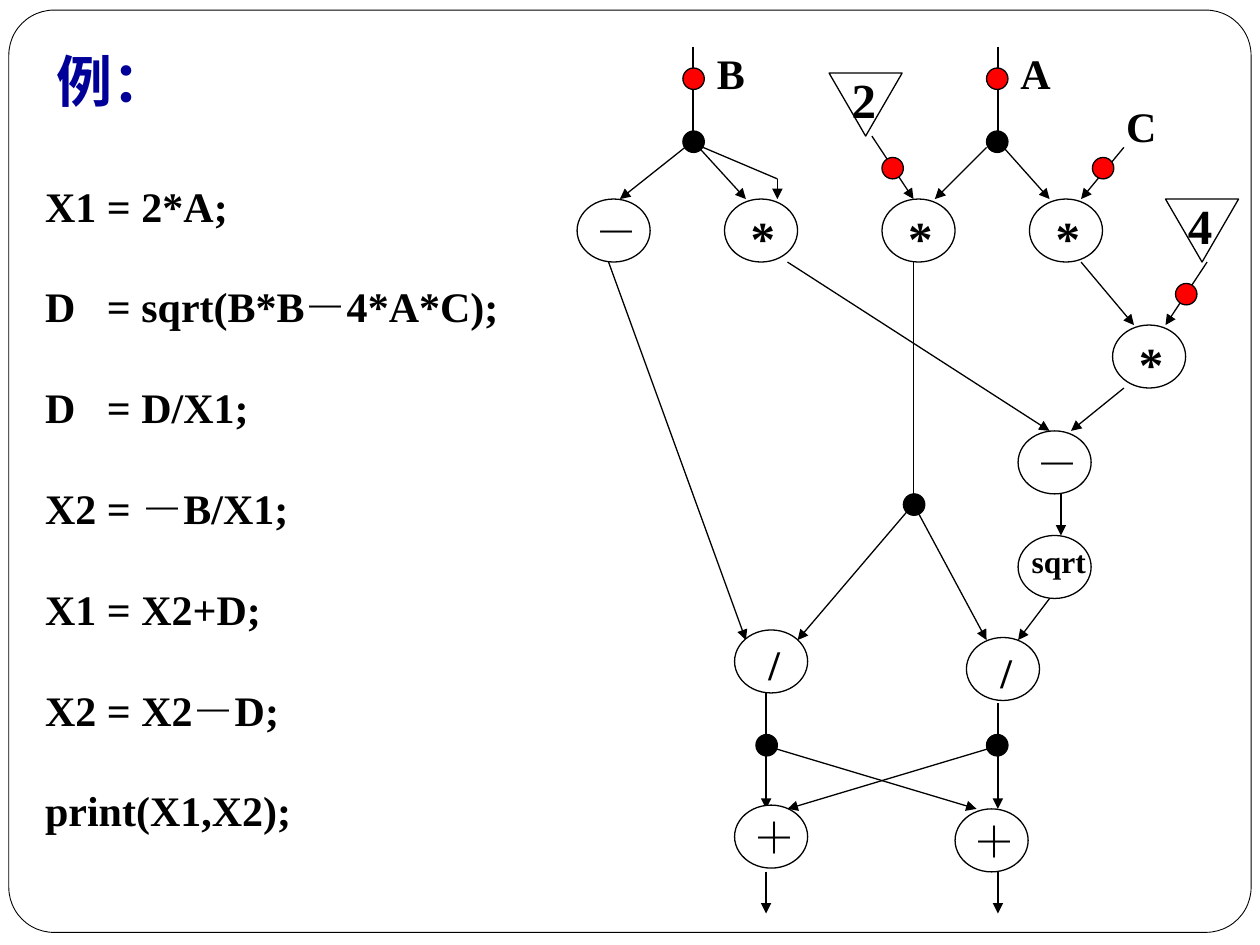
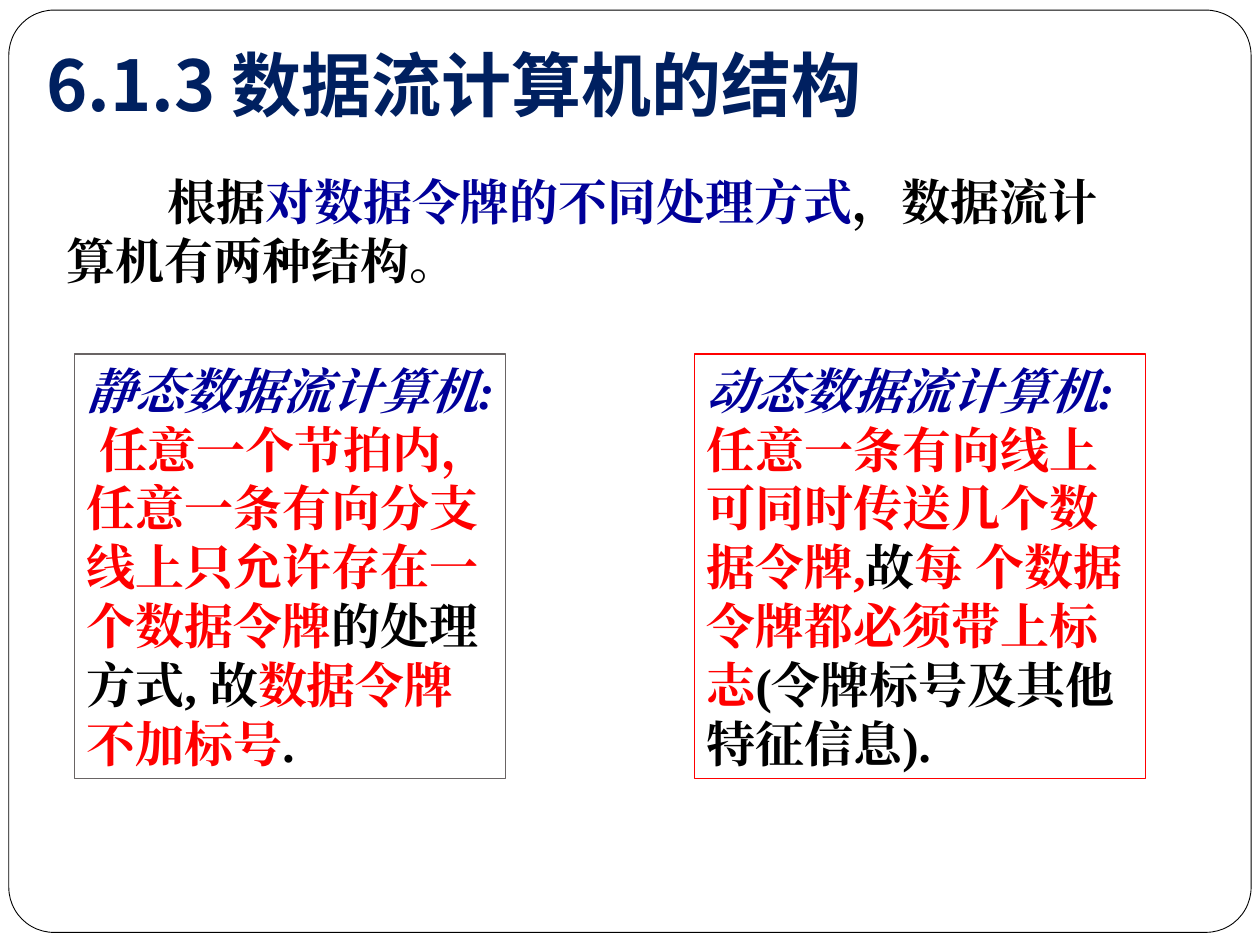
from pptx import Presentation
from pptx.dml.color import RGBColor
from pptx.enum.shapes import MSO_CONNECTOR as LINK, MSO_SHAPE as SHAPE
from pptx.enum.text import MSO_ANCHOR as ANCHOR, MSO_AUTO_SIZE as FIT, PP_ALIGN as ALIGN
from pptx.oxml.ns import qn
from pptx.util import Inches, Pt
from lxml.etree import SubElement

BLACK, WHITE, RED = "000000", "FFFFFF", "FF0000"
BLUE, NAVY, GREY = "000099", "002060", "696464"
SERIF, SANS = "Times New Roman", "Noto Sans CJK SC"


def write(box, lines, size, font=SERIF, wrap=False, gap=0):
    frame = box.text_frame
    settings = {
        "word_wrap": wrap,
        "auto_size": FIT.NONE,
        "vertical_anchor": ANCHOR.TOP,
        "margin_left": Inches(0.1),
        "margin_right": Inches(0.1),
        "margin_top": Inches(0.05),
        "margin_bottom": Inches(0.05),
    }
    for name, value in settings.items():
        setattr(frame, name, value)
    for number, spans in enumerate(lines):
        para = frame.add_paragraph() if number else frame.paragraphs[0]
        para.alignment = ALIGN.LEFT
        para.space_before = Pt(gap if number else 0)
        for text, color, italic in spans:
            span = para.add_run()
            span.text = text
            style = {"name": font, "size": Pt(size), "bold": True, "italic": italic}
            for name, value in style.items():
                setattr(span.font, name, value)
            span.font.color.rgb = RGBColor.from_string(color)
            SubElement(span.font._element, qn("a:ea"), typeface=font)


def draw(page, preset, place, fill, line=BLACK, width=0.75):
    shape = page.shapes.add_shape(preset, *map(Inches, place))
    shape.shadow.inherit = False
    if fill:
        shape.fill.solid()
        shape.fill.fore_color.rgb = RGBColor.from_string(fill)
    else:
        shape.fill.background()
    shape.line.color.rgb = RGBColor.from_string(line)
    shape.line.width = Pt(width)
    return shape


deck = Presentation()
deck.slide_width, deck.slide_height = Inches(10), Inches(7.5)

titles = [
    ("例：", (0.35, 0.32, 2.28, 0.83), 32, BLUE),
    ("6.1.3 数据流计算机的结构", (0.27, 0.28, 7.33, 0.62), 40, NAVY),
]
pages = []
for text, place, size, color in titles:
    page = deck.slides.add_slide(deck.slide_layouts[5])
    border = draw(page, SHAPE.ROUNDED_RECTANGLE, (0.07, 0.08, 9.86, 7.32), WHITE, width=0.5)
    border.adjustments[0] = 0.049
    title = page.shapes.title
    title.left, title.top, title.width, title.height = map(Inches, place)
    write(title, [[(text, color, False)]], size, SANS, True)
    page.shapes._spTree.append(title._element)
    pages.append(page)
graph_page, structure_page = pages

program = [
    "X1 = 2*A;",
    "D   = sqrt(B*B－4*A*C);",
    "D   = D/X1;",
    "X2 = －B/X1;",
    "X1 = X2+D;",
    "X2 = X2－D;",
    "print(X1,X2);",
]
box = graph_page.shapes.add_textbox(*map(Inches, (0.26, 1.38, 3.95, 5.3)))
write(box, [[(line, BLACK, False)] for line in program], 24, gap=28.8)

plain_lines = [
    (5.5, 0.37, 5.5, 1.12), (7.92, 0.37, 7.92, 1.12),
    (5.58, 1.17, 6.17, 1.42), (7.25, 2.08, 7.25, 3.92),
    (6.08, 5.5, 6.08, 5.92), (7.92, 5.58, 7.92, 5.92),
]
arrows = [
    (5.5, 1.12, 4.92, 1.58), (5.5, 1.12, 5.92, 1.58), (6.17, 1.42, 6.17, 1.58),
    (6.92, 1.08, 7.25, 1.58), (7.83, 1.17, 7.42, 1.58), (7.92, 1.12, 8.33, 1.58),
    (8.92, 1.17, 8.58, 1.58), (9.58, 2.08, 9.25, 2.58), (8.58, 2.08, 9, 2.58),
    (7.25, 4, 6.33, 5.08), (4.83, 2.08, 5.92, 5.08), (6.25, 2.08, 8.33, 3.42),
    (8.92, 3.08, 8.5, 3.42), (8.42, 3.92, 8.42, 4.25), (7.25, 4, 7.83, 5.08),
    (8.33, 4.75, 8.08, 5.08), (6.08, 5.92, 7.75, 6.42), (7.92, 5.92, 6.25, 6.42),
]
for x in (6.08, 7.92):
    arrows += [(x, 5.92, x, 6.42), (x, 6.92, x, 7.25)]
for ends in plain_lines + arrows:
    link = graph_page.shapes.add_connector(LINK.STRAIGHT, *map(Inches, ends))
    link.line.color.rgb = RGBColor.from_string(BLACK)
    link.line.width = Pt(0.75)
    if ends in arrows:
        SubElement(link.line._get_or_add_ln(), qn("a:tailEnd"), type="triangle")
    SubElement(link._element.spPr, qn("a:effectLst"))

dots = {
    BLACK: [(5.42, 1.04), (7.83, 1.04), (7.17, 3.92), (6, 5.83), (7.83, 5.83)],
    RED: [(5.42, 0.54), (7.83, 0.54), (8.67, 1.25), (7, 1.25), (9.33, 2.25)],
}
for color, corners in dots.items():
    for left, top in corners:
        draw(graph_page, SHAPE.OVAL, (left, top, 0.17, 0.17), color)

label_styles = {
    "*": (0.11, 0.02, 0.39, 0.57, 28),
    "－": (0.05, 0, 0.53, 0.5, 24),
    "＋": (0.05, 0, 0.53, 0.5, 24),
    "/": (0.17, 0.02, 0.29, 0.5, 24),
    "sqrt": (0.01, 0, 0.63, 0.4, 18),
    "2": (0.08, -0.08, 0.41, 0.57, 28),
    "4": (0.08, -0.08, 0.41, 0.57, 28),
}
nodes = [
    ("－", 4.58, 1.58), ("*", 5.75, 1.58), ("*", 7, 1.58), ("*", 8.17, 1.58),
    ("*", 8.83, 2.58), ("－", 8.08, 3.42), ("sqrt", 8.08, 4.25),
    ("/", 5.83, 5), ("/", 7.67, 5.06), ("＋", 5.83, 6.39), ("＋", 7.58, 6.42),
    ("2", 6.58, 0.58), ("4", 9.25, 1.58),
]
labels = [("B", 5.59, 0.33, 0.42, 0.5, 24), ("A", 8, 0.33, 0.44, 0.5, 24), ("C", 8.84, 0.75, 0.44, 0.5, 24)]
for symbol, left, top in nodes:
    constant = symbol.isdecimal()
    preset = SHAPE.ISOSCELES_TRIANGLE if constant else SHAPE.OVAL
    node = draw(graph_page, preset, (left, top, 0.58, 0.5), WHITE)
    node.rotation = 180 if constant else 0
    right, down, width, height, size = label_styles[symbol]
    labels.append((symbol, left + right, top + down, width, height, size))
for symbol, left, top, width, height, size in labels:
    box = graph_page.shapes.add_textbox(*map(Inches, (left, top, width, height)))
    write(box, [[(symbol, BLACK, False)]], size, wrap=symbol.isdecimal())

intro = [
    ("根据", BLACK, False),
    ("对数据令牌的不同处理方式", BLUE, False),
    ("，数据流计算机有两种结构。", BLACK, False),
]
box = structure_page.shapes.add_textbox(*map(Inches, (0.43, 1.31, 8.58, 1.04)))
write(box, [intro], 28, wrap=True)
box.text_frame.paragraphs[0]._p.get_or_add_pPr().set("indent", str(Inches(0.8)))

structures = [
    (0.59, 3.42, GREY, [
        ("静态数据流计算机: ", BLUE, True),
        ("任意一个节拍内，任意一条有向分支线上只允许存在一个数据令牌", RED, False),
        ("的处理方式, 故", BLACK, False),
        ("数据令牌不加标号", RED, False),
        (".", BLACK, False),
    ]),
    (5.51, 3.58, RED, [
        ("动态数据流计算机: ", BLUE, True),
        ("任意一条有向线上可同时传送几个数据令牌,", RED, False),
        ("故", BLACK, False),
        ("每 个数据令牌都必须带上标志", RED, False),
        ("(令牌标号及其他特征信息).", BLACK, False),
    ]),
]
for left, width, color, spans in structures:
    panel = draw(structure_page, SHAPE.RECTANGLE, (left, 2.81, width, 3.37), None, color)
    write(panel, [spans], 28, wrap=True)

deck.save("out.pptx")
